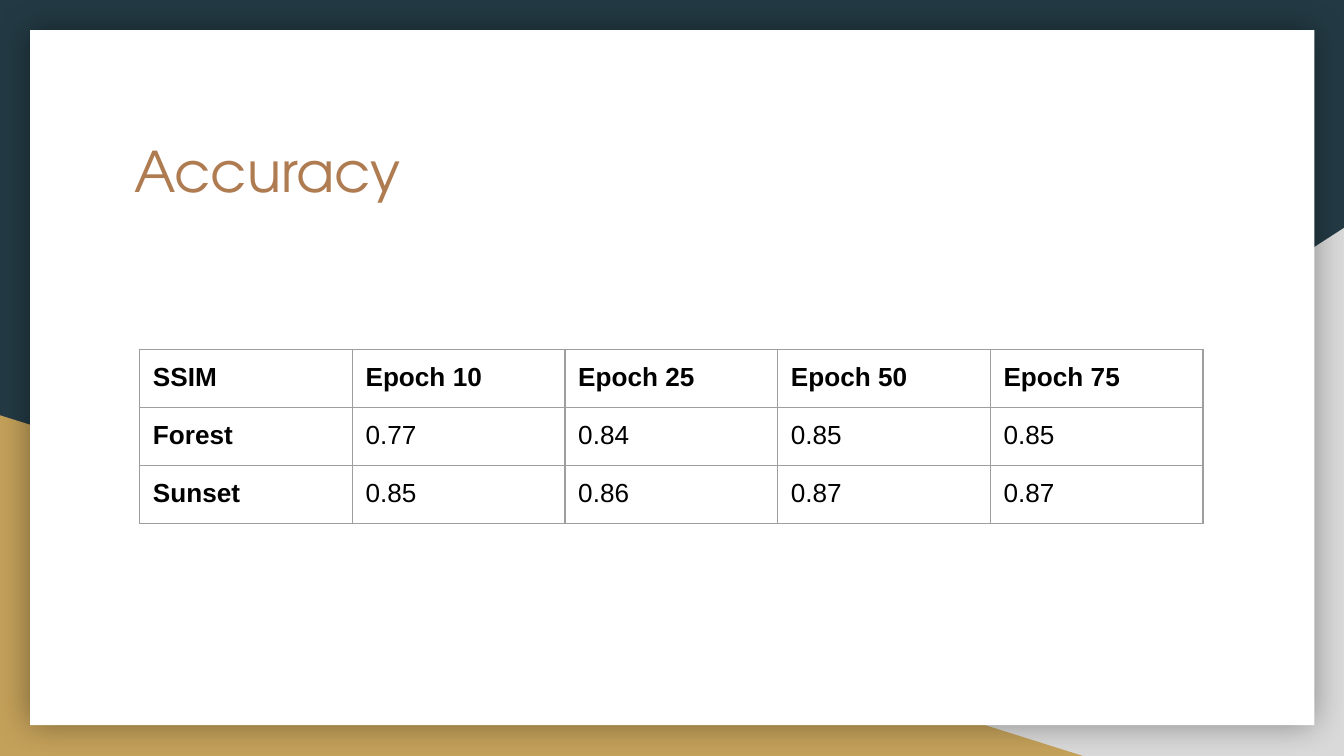
"""Build the accuracy slide: a white card with a table of SSIM scores per epoch."""
from dataclasses import dataclass

import pptx
import pptx.dml.color
import pptx.enum.shapes
import pptx.oxml
import pptx.oxml.ns
import pptx.shapes.autoshape
import pptx.slide
import pptx.table
import pptx.text.text
import pptx.util

Cm = pptx.util.Cm
Pt = pptx.util.Pt
RGBColor = pptx.dml.color.RGBColor
MSO_SHAPE = pptx.enum.shapes.MSO_SHAPE

NAVY = RGBColor(0x23, 0x3A, 0x44)
GREY = RGBColor(0xD9, 0xD9, 0xD9)
GOLD = RGBColor(0xC4, 0xA1, 0x5A)
WHITE = RGBColor(0xFF, 0xFF, 0xFF)
COPPER = RGBColor(0xAF, 0x7B, 0x51)
BLACK = RGBColor(0x00, 0x00, 0x00)
RULE = RGBColor(0x9E, 0x9E, 0x9E)

SLIDE_WIDTH, SLIDE_HEIGHT = Cm(25.4), Cm(14.29)
COLUMN_WIDTH, ROW_HEIGHT = Cm(4.02), Cm(1.06)
INSET = Cm(0.25)

SCORES = (
    ("SSIM", "Epoch 10", "Epoch 25", "Epoch 50", "Epoch 75"),
    ("Forest", "0.77", "0.84", "0.85", "0.85"),
    ("Sunset", "0.85", "0.86", "0.87", "0.87"),
)


@dataclass(frozen=True)
class Panel:
    """A filled backdrop shape, measured in centimetres."""

    geometry: MSO_SHAPE
    left: float
    top: float
    width: float
    height: float
    color: RGBColor
    flipped: bool = False
    shadowed: bool = False


PANELS = (
    Panel(MSO_SHAPE.RIGHT_TRIANGLE, 9.96, 4.31, 15.44, 9.98, GREY, flipped=True),
    Panel(MSO_SHAPE.RIGHT_TRIANGLE, 0, 7.85, 20.47, 6.44, GOLD),
    Panel(MSO_SHAPE.RECTANGLE, 0.57, 0.57, 24.27, 13.14, WHITE, shadowed=True),
)


def add_glow_shadow(shape: pptx.shapes.autoshape.Shape) -> None:
    """Give the shape a soft black shadow with no offset."""
    effects = shape._element.spPr.find(pptx.oxml.ns.qn("a:effectLst"))
    effects.append(pptx.oxml.parse_xml(
        f'<a:outerShdw {pptx.oxml.ns.nsdecls("a")} blurRad="{Pt(18)}" dist="0" dir="0" '
        f'algn="ctr" rotWithShape="0"><a:srgbClr val="{BLACK}">'
        '<a:alpha val="40000"/></a:srgbClr></a:outerShdw>'
    ))


def add_panel(slide: pptx.slide.Slide, panel: Panel) -> None:
    """Draw one backdrop shape."""
    shape = slide.shapes.add_shape(
        panel.geometry, Cm(panel.left), Cm(panel.top), Cm(panel.width), Cm(panel.height)
    )
    shape.fill.solid()
    shape.fill.fore_color.rgb = panel.color
    shape.line.fill.background()
    shape.shadow.inherit = False
    if panel.flipped:
        shape._element.spPr.xfrm.set("flipH", "1")
    if panel.shadowed:
        add_glow_shadow(shape)


def style_text(frame: pptx.text.text.TextFrame, font_name: str, size: float,
               color: RGBColor, bold: bool = False) -> None:
    """Format every run of a text frame."""
    for paragraph in frame.paragraphs:
        for run in paragraph.runs:
            run.font.name = font_name
            run.font.size = Pt(size)
            run.font.bold = bold
            run.font.color.rgb = color


def add_title(slide: pptx.slide.Slide, wording: str) -> None:
    """Add the slide heading."""
    heading = slide.shapes.add_textbox(Cm(2.29), Cm(2.34), Cm(20.85), Cm(2.64)).text_frame
    heading.word_wrap = True
    heading.margin_left = heading.margin_right = INSET
    heading.margin_top = heading.margin_bottom = INSET
    heading.text = wording
    style_text(heading, "TeX Gyre Adventor", 30, COPPER)


def add_borders(cell: pptx.table._Cell) -> None:
    """Rule all four sides of a cell."""
    properties = cell._tc.get_or_add_tcPr()
    for position, side in enumerate(("lnL", "lnR", "lnT", "lnB")):
        properties.insert(position, pptx.oxml.parse_xml(
            f'<a:{side} {pptx.oxml.ns.nsdecls("a")} w="{Pt(0.75)}"><a:solidFill>'
            f'<a:srgbClr val="{RULE}"/></a:solidFill></a:{side}>'
        ))


def add_scores(slide: pptx.slide.Slide) -> None:
    """Add the table of scores with bold row and column headings."""
    row_count, column_count = len(SCORES), len(SCORES[0])
    scores = slide.shapes.add_table(
        row_count, column_count, Cm(2.64), Cm(6.61),
        COLUMN_WIDTH * column_count, ROW_HEIGHT * row_count,
    ).table
    scores.first_row = scores.horz_banding = False
    for column in scores.columns:
        column.width = COLUMN_WIDTH
    for row_index, row_values in enumerate(SCORES):
        scores.rows[row_index].height = ROW_HEIGHT
        for column_index, wording in enumerate(row_values):
            cell = scores.cell(row_index, column_index)
            cell.margin_left = cell.margin_right = INSET
            cell.margin_top = cell.margin_bottom = INSET
            cell.fill.background()
            add_borders(cell)
            cell.text_frame.text = wording
            is_heading = row_index == 0 or column_index == 0
            style_text(cell.text_frame, "Arial", 14, BLACK, is_heading)


def main() -> None:
    """Assemble and save the slide."""
    deck = pptx.Presentation()
    deck.slide_width, deck.slide_height = SLIDE_WIDTH, SLIDE_HEIGHT
    slide = deck.slides.add_slide(deck.slide_layouts[6])
    slide.background.fill.solid()
    slide.background.fill.fore_color.rgb = NAVY
    for panel in PANELS:
        add_panel(slide, panel)
    add_title(slide, "Accuracy")
    add_scores(slide)
    deck.save("out.pptx")


if __name__ == "__main__":
    main()
